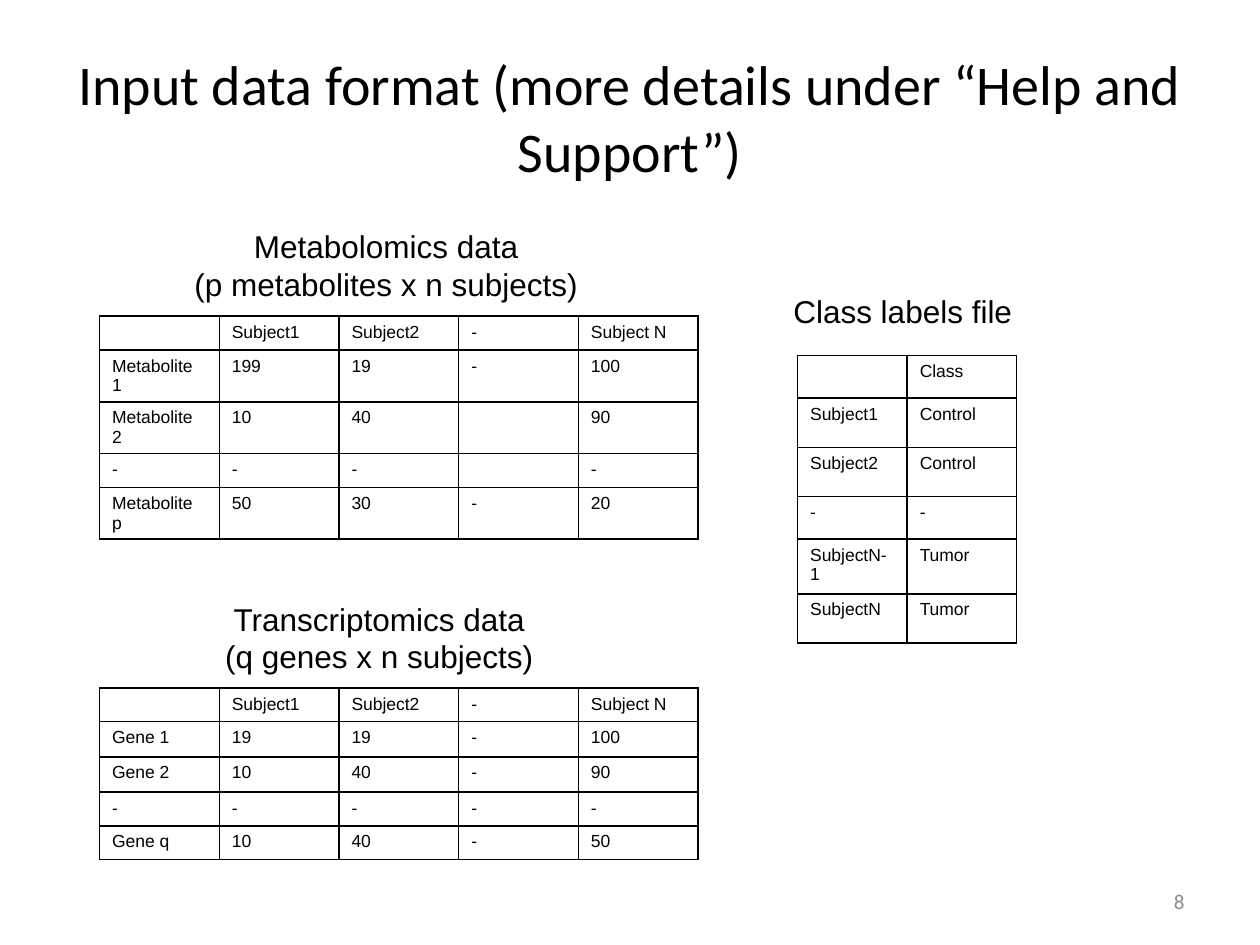
from dataclasses import dataclass

from lxml.etree import SubElement
from pptx import Presentation
from pptx.dml.color import RGBColor
from pptx.enum.text import MSO_ANCHOR as Anchor, MSO_AUTO_SIZE as AutoSize, PP_ALIGN as Align
from pptx.oxml.ns import qn
from pptx.util import Inches, Pt


@dataclass(frozen=True)
class Theme:
    ink: str = "000000"
    muted: str = "8C8C8C"
    heading_font: str = "Calibri"
    body_font: str = "Arial"
    title_size: int = 32
    caption_size: int = 18
    number_size: int = 12
    cell_size: int = 10
    border: float = 1


THEME = Theme()
TITLE = "Input data format (more details under “Help and Support”)"
SUBJECTS = ["", "Subject1", "Subject2", "-", "Subject N"]
LEFT_COLUMN, RIGHT_COLUMN = 0.79, 6.33
SHORT, TALL = 0.26, 0.41
CAPTION_HEIGHT = 0.71

# Each table: caption lines and box (left, top, width), then the grid below it.
TABLES = [
    {
        "caption": ["Metabolomics data", "(p metabolites x n subjects)"],
        "caption_box": (1.43, 1.75, 3.27),
        "corner": (LEFT_COLUMN, 2.51),
        "column_width": 0.95,
        "row_heights": [SHORT, TALL, TALL, SHORT, TALL],
        "rows": [
            SUBJECTS,
            ["Metabolite 1", "199", "19", "-", "100"],
            ["Metabolite 2", "10", "40", "", "90"],
            ["-", "-", "-", "", "-"],
            ["Metabolite p", "50", "30", "-", "20"],
        ],
    },
    {
        "caption": ["Transcriptomics data", "(q genes x n subjects)"],
        "caption_box": (1.05, 4.71, 3.92),
        "corner": (LEFT_COLUMN, 5.46),
        "column_width": 0.95,
        "row_heights": [SHORT, 0.28, 0.28, SHORT, SHORT],
        "rows": [
            SUBJECTS,
            ["Gene 1", "19", "19", "-", "100"],
            ["Gene 2", "10", "40", "-", "90"],
            ["-", "-", "-", "-", "-"],
            ["Gene q", "10", "40", "-", "50"],
        ],
    },
    {
        "caption": ["Class labels file"],
        "caption_box": (5.53, 2.27, 3.27),
        "corner": (RIGHT_COLUMN, 2.82),
        "column_width": 0.87,
        "row_heights": [0.34, 0.39, 0.39, 0.34, 0.43, 0.39],
        "rows": [
            ["", "Class"],
            ["Subject1", "Control"],
            ["Subject2", "Control"],
            ["-", "-"],
            ["SubjectN-1", "Tumor"],
            ["SubjectN", "Tumor"],
        ],
    },
]


def write(frame, lines, size, font=THEME.body_font, color=THEME.ink, align=Align.CENTER):
    frame.text = "\n".join(lines)
    for paragraph in frame.paragraphs:
        paragraph.alignment = align
        for run in paragraph.runs:
            for name, value in {"size": Pt(size), "name": font}.items():
                setattr(run.font, name, value)
            run.font.color.rgb = RGBColor.from_string(color)


def add_text(slide, box, lines, size, anchor=Anchor.TOP, **style):
    frame = slide.shapes.add_textbox(*map(Inches, box)).text_frame
    frame.word_wrap = True
    frame.vertical_anchor = anchor
    write(frame, lines, size, **style)


def add_borders(cell):
    properties = cell._tc.get_or_add_tcPr()
    for side in ("lnL", "lnR", "lnT", "lnB"):
        line = SubElement(properties, qn(f"a:{side}"), w=str(Pt(THEME.border)))
        fill = SubElement(line, qn("a:solidFill"))
        SubElement(fill, qn("a:srgbClr"), val=THEME.ink)


def fill_cell(cell, text):
    add_borders(cell)
    cell.fill.background()
    write(cell.text_frame, [text], THEME.cell_size, align=Align.LEFT)
    if not text:  # keeps an empty cell from growing to the default type size
        SubElement(cell.text_frame.paragraphs[0]._p, qn("a:endParaRPr"),
                   sz=str(THEME.cell_size * 100))


def add_data_table(slide, data):
    rows, heights = data["rows"], data["row_heights"]
    column_count = len(rows[0])
    size = (data["column_width"] * column_count, sum(heights))
    table = slide.shapes.add_table(
        len(rows), column_count, *map(Inches, data["corner"] + size)).table
    table.first_row = table.horz_banding = False
    for column in table.columns:
        column.width = Inches(data["column_width"])
    for row, height, texts in zip(table.rows, heights, rows):
        row.height = Inches(height)
        for cell, text in zip(row.cells, texts):
            fill_cell(cell, text)


def main():
    presentation = Presentation()
    presentation.slide_width, presentation.slide_height = Inches(10), Inches(7.5)
    slide = presentation.slides.add_slide(presentation.slide_layouts[5])

    title = slide.shapes.title
    for name, value in zip(("left", "top", "width", "height"), (0.5, 0.3, 9, 1.25)):
        setattr(title, name, Inches(value))
    title.text_frame.vertical_anchor = Anchor.MIDDLE
    title.text_frame.auto_size = AutoSize.NONE
    write(title.text_frame, [TITLE], THEME.title_size, THEME.heading_font)

    for data in TABLES:
        add_data_table(slide, data)
        add_text(slide, data["caption_box"] + (CAPTION_HEIGHT,),
                 data["caption"], THEME.caption_size)

    add_text(slide, (7.17, 6.95, 2.33, 0.4), ["8"], THEME.number_size, Anchor.MIDDLE,
             font=THEME.heading_font, color=THEME.muted, align=Align.RIGHT)
    presentation.save("out.pptx")


if __name__ == "__main__":
    main()
